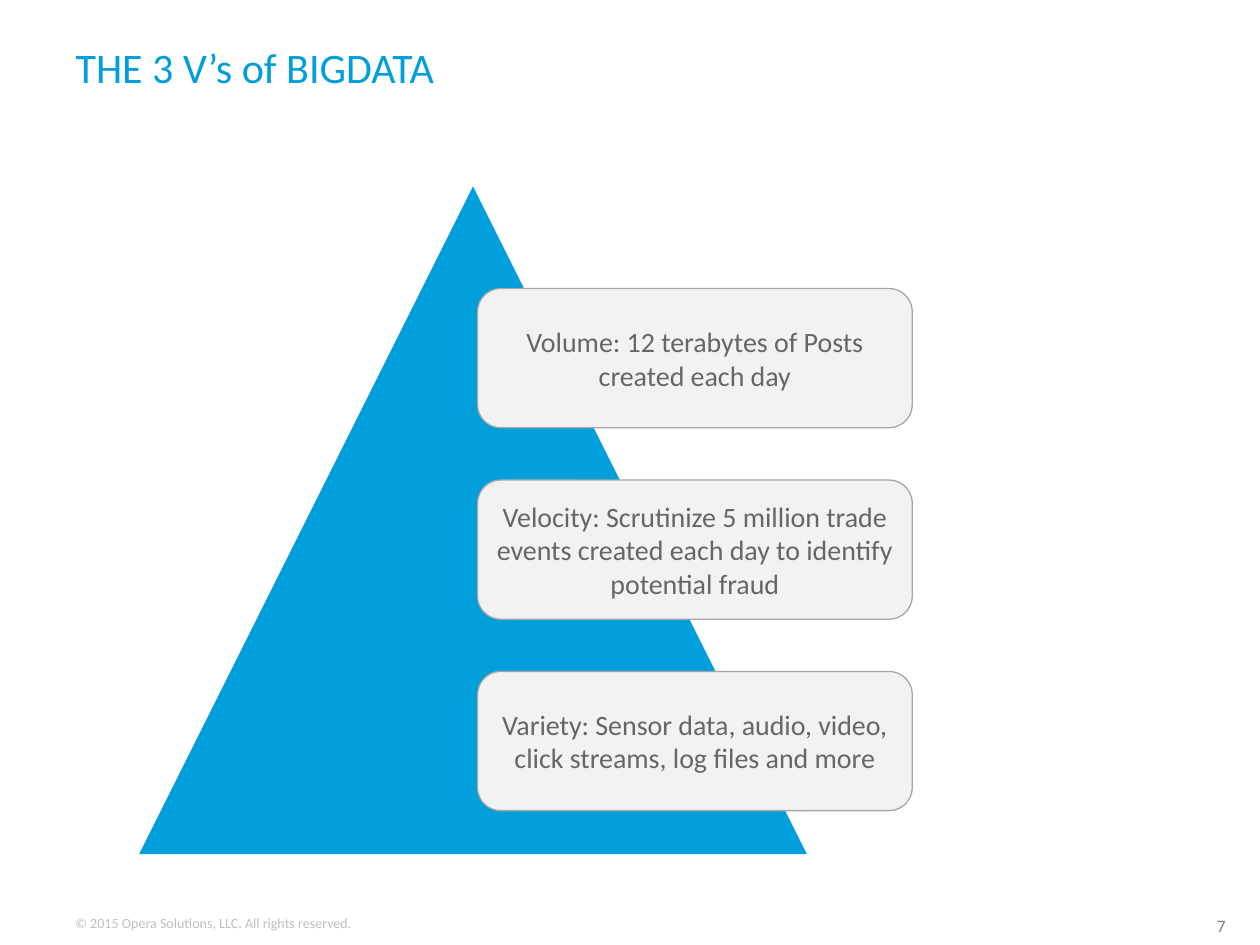
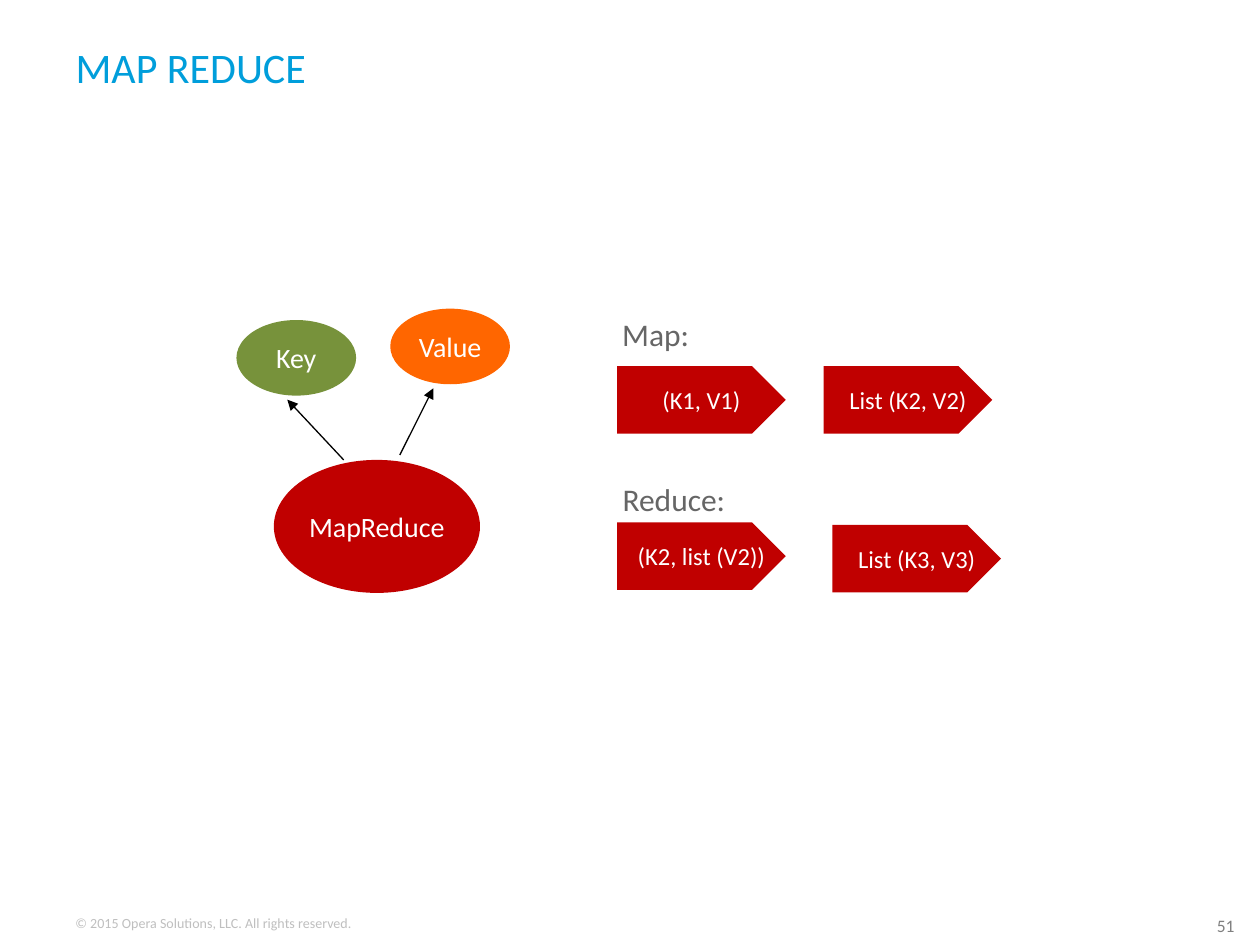
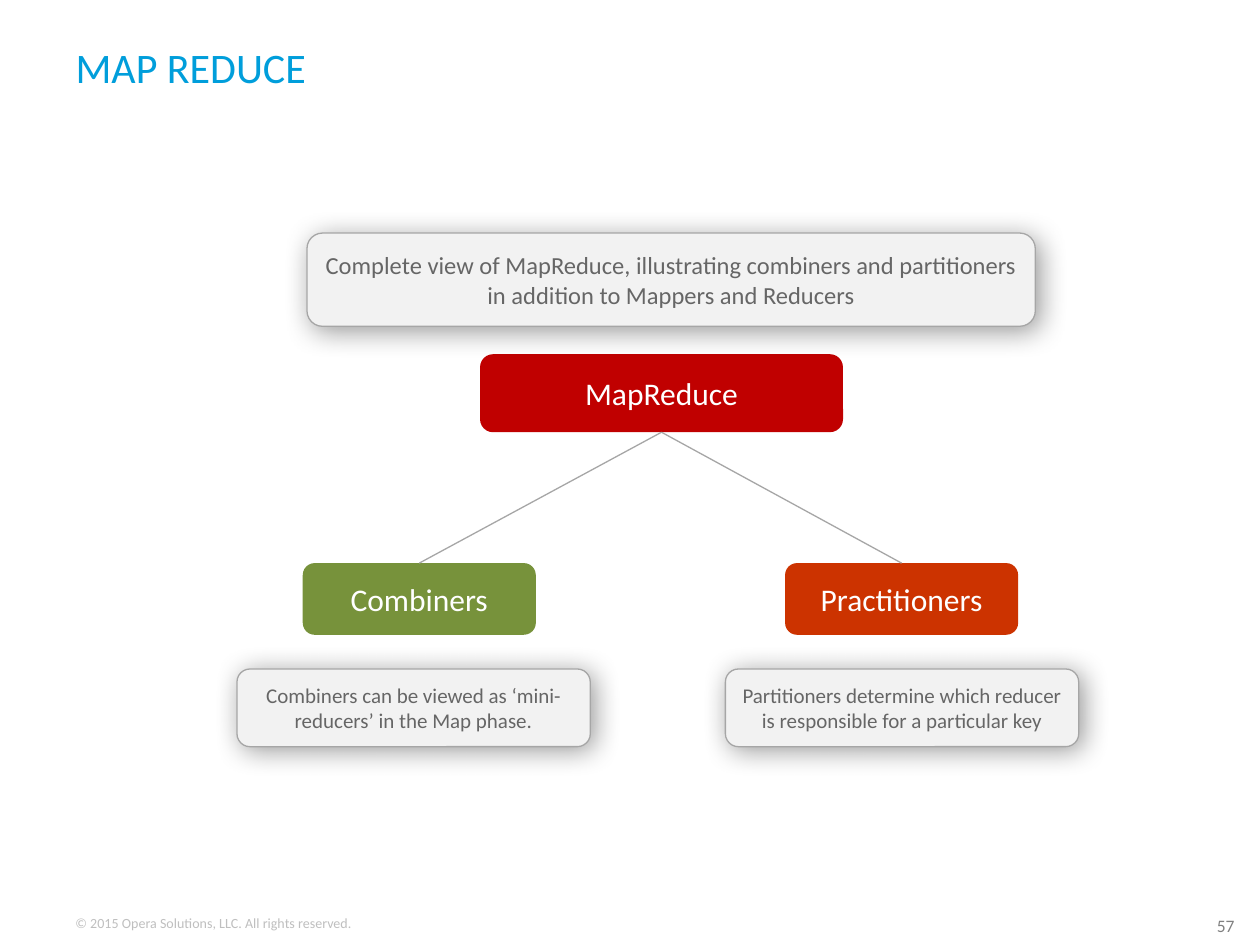
from lxml import etree
from pptx import Presentation
from pptx.dml.color import RGBColor
from pptx.enum.shapes import MSO_CONNECTOR, MSO_SHAPE
from pptx.enum.text import MSO_ANCHOR, MSO_AUTO_SIZE, PP_ALIGN
from pptx.oxml.ns import qn
from pptx.util import Pt

BLUE = RGBColor(0x00, 0x9E, 0xDB)
RED = RGBColor(0xC0, 0x00, 0x00)
GREEN = RGBColor(0x77, 0x92, 0x3B)
ORANGE = RGBColor(0xFF, 0x66, 0x00)
RUST = RGBColor(0xCC, 0x33, 0x00)
PANEL = RGBColor(0xF2, 0xF2, 0xF2)
EDGE = RGBColor(0xA6, 0xA6, 0xA6)
BODY = RGBColor(0x66, 0x66, 0x66)
NUMBER = RGBColor(0x80, 0x80, 0x80)
COPYRIGHT = RGBColor(0xBF, 0xBF, 0xBF)
WHITE = RGBColor(0xFF, 0xFF, 0xFF)
BLACK = RGBColor(0x00, 0x00, 0x00)

TRIANGLE = MSO_SHAPE.ISOSCELES_TRIANGLE
ROUNDED = MSO_SHAPE.ROUNDED_RECTANGLE
OVAL = MSO_SHAPE.OVAL
PENTAGON = MSO_SHAPE.PENTAGON
STRAIGHT = MSO_CONNECTOR.STRAIGHT
LEFT, CENTER = PP_ALIGN.LEFT, PP_ALIGN.CENTER
TOP, MIDDLE = MSO_ANCHOR.TOP, MSO_ANCHOR.MIDDLE
NO_FIT = MSO_AUTO_SIZE.NONE

FONT = "Calibri"
COPYRIGHT_LINE = "© 2015 Opera Solutions, LLC. All rights reserved."
STANDARD_INSETS = (7.2, 3.6, 7.2, 3.6)
NO_INSETS = (0, 0, 0, 0)
PENTAGON_INSETS = (9.7, 3.6, 0, 3.6)


def points(values):
    """Turn plain numbers into point lengths."""
    return [Pt(value) for value in values]


def write(frame, text, size, color, align=CENTER, anchor=MIDDLE, wrap=True, insets=STANDARD_INSETS):
    """Fill a text frame with one formatted paragraph."""
    left, top, right, bottom = points(insets)
    layout = {
        "auto_size": NO_FIT, "word_wrap": wrap, "vertical_anchor": anchor,
        "margin_left": left, "margin_top": top, "margin_right": right, "margin_bottom": bottom,
    }
    for name, value in layout.items():
        setattr(frame, name, value)
    paragraph = frame.paragraphs[0]
    paragraph.alignment = align
    run = paragraph.add_run()
    run.text = text
    for name, value in {"name": FONT, "size": Pt(size)}.items():
        setattr(run.font, name, value)
    run.font.color.rgb = color


def add_label(slide, box, text, size, color, **layout):
    """Add a plain text box."""
    write(slide.shapes.add_textbox(*points(box)).text_frame, text, size, color, **layout)


def add_block(slide, kind, box, fill, edge=None):
    """Add a flat filled shape with an optional thin edge."""
    block = slide.shapes.add_shape(kind, *points(box))
    block.shadow.inherit = False
    block.fill.solid()
    block.fill.fore_color.rgb = fill
    if edge is None:
        block.line.fill.background()
    else:
        block.line.color.rgb = edge
        block.line.width = Pt(0.75)
    return block


def add_node(slide, kind, box, fill, text, size, insets=STANDARD_INSETS):
    """Add a coloured shape with white text."""
    node = add_block(slide, kind, box, fill)
    write(node.text_frame, text, size, WHITE, insets=insets)


def add_panel(slide, box, text, size, insets=STANDARD_INSETS):
    """Add a grey rounded panel with body text."""
    panel = add_block(slide, ROUNDED, box, PANEL, EDGE)
    write(panel.text_frame, text, size, BODY, insets=insets)
    return panel


def cast_shadow(panel):
    """Give a panel a soft shadow towards the lower right."""
    effects = panel._element.spPr.find(qn("a:effectLst"))
    shadow = etree.SubElement(
        effects, qn("a:outerShdw"), blurRad=str(Pt(16)), dist=str(Pt(3)),
        dir="2700000", algn="tl", rotWithShape="0")
    color = etree.SubElement(shadow, qn("a:srgbClr"), val=str(BLACK))
    etree.SubElement(color, qn("a:alpha"), val="40000")


def add_line(slide, start, end, color, arrow=False):
    """Add a straight thin line, optionally with a small arrowhead."""
    line = slide.shapes.add_connector(STRAIGHT, *points(start + end))
    line.line.color.rgb = color
    line.line.width = Pt(0.75)
    if arrow:
        etree.SubElement(line.line._get_or_add_ln(), qn("a:tailEnd"), type="triangle", w="med", len="med")
    etree.SubElement(line._element.spPr, qn("a:effectLst"))


def add_slide(deck, title, number):
    """Add a slide with its title, page number and copyright line."""
    slide = deck.slides.add_slide(deck.slide_layouts[5])
    heading = slide.shapes.title
    place = zip(("left", "top", "width", "height"), points((36, 15.84, 563.76, 44.64)))
    for name, value in place:
        setattr(heading, name, value)
    write(heading.text_frame, title, 24, BLUE, align=LEFT)
    add_label(slide, (688.32, 519.12, 31.68, 19.44), number, 10, NUMBER, align=LEFT, anchor=TOP)
    add_label(slide, (36, 519.12, 174.24, 17.28), COPYRIGHT_LINE, 8, COPYRIGHT,
              align=LEFT, anchor=TOP, wrap=False)
    return slide


def build_three_vs(deck):
    """Build the pyramid of volume, velocity and variety."""
    slide = add_slide(deck, "THE 3 V’s of BIGDATA", "7")
    add_block(slide, TRIANGLE, (79.5, 106.5, 381.6, 381.6), BLUE)
    traits = (
        "Volume: 12 terabytes of Posts created each day",
        "Velocity: Scrutinize 5 million trade events created each day to identify potential fraud",
        "Variety: Sensor data, audio, video, click streams, log files and more",
    )
    for row, trait in enumerate(traits):
        add_panel(slide, (272.9, 164.9 + row * 109.4, 248.4, 79.5), trait, 16, NO_INSETS)


def build_key_value(deck):
    """Build the key and value diagram with the map and reduce steps."""
    slide = add_slide(deck, "MAP REDUCE", "51")
    ovals = (
        ((156.5, 262.8, 117.8, 76), RED, "MapReduce"),
        ((223, 176.4, 68.4, 43.2), ORANGE, "Value"),
        ((135.1, 182.9, 68.4, 43.2), GREEN, "Key"),
    )
    for box, fill, text in ovals:
        add_node(slide, OVAL, box, fill, text, 16, NO_INSETS)
    for start, end in (((196.4, 262.8), (164.2, 228.4)), ((228.5, 260), (247.6, 221.9))):
        add_line(slide, start, end, BLACK, arrow=True)
    steps = (
        (352.6, 209.2, "(K1, V1)"),
        (352.6, 298.5, "(K2, list (V2))"),
        (470.6, 209.2, "List (K2, V2)"),
        (475.6, 300, "List (K3, V3)"),
    )
    for left, top, text in steps:
        add_node(slide, PENTAGON, (left, top, 96.4, 38.6), RED, text, 14, PENTAGON_INSETS)
    for top, width, text in ((176.6, 53.3, "Map:"), (270.9, 74.2, "Reduce:")):
        add_label(slide, (348, top, width, 28.8), text, 18, BODY, wrap=False)


def build_complete_view(deck):
    """Build the tree of combiners and partitioners."""
    slide = add_slide(deck, "MAP REDUCE", "57")
    root_left, root_top, root_width, root_height = root = (274.3, 202.4, 207.4, 44.6)
    add_node(slide, ROUNDED, root, RED, "MapReduce", 18)
    root_foot = (root_left + root_width / 2, root_top + root_height)
    branch_top, branch_width = 321.8, 133.2
    for left, fill, text in ((173, GREEN, "Combiners"), (448.6, RUST, "Practitioners")):
        add_node(slide, ROUNDED, (left, branch_top, branch_width, 41), fill, text, 18)
        add_line(slide, (left + branch_width / 2, branch_top), root_foot, EDGE)
    notes = (
        ((175.4, 133.2, 416.2, 53.3), 14,
         "Complete view of MapReduce, illustrating combiners and partitioners "
         "in addition to Mappers and Reducers"),
        ((135.4, 382.3, 201.9, 44.4), 12,
         "Combiners can be viewed as ‘mini-reducers’ in the Map phase."),
        ((414.5, 382.3, 201.9, 44.4), 12,
         "Partitioners determine which reducer is responsible for a particular key"),
    )
    for box, size, text in notes:
        cast_shadow(add_panel(slide, box, text, size))


def main():
    """Build the deck and save it."""
    deck = Presentation()
    deck.slide_width, deck.slide_height = Pt(720), Pt(540)
    build_three_vs(deck)
    build_key_value(deck)
    build_complete_view(deck)
    deck.save("out.pptx")


if __name__ == "__main__":
    main()
